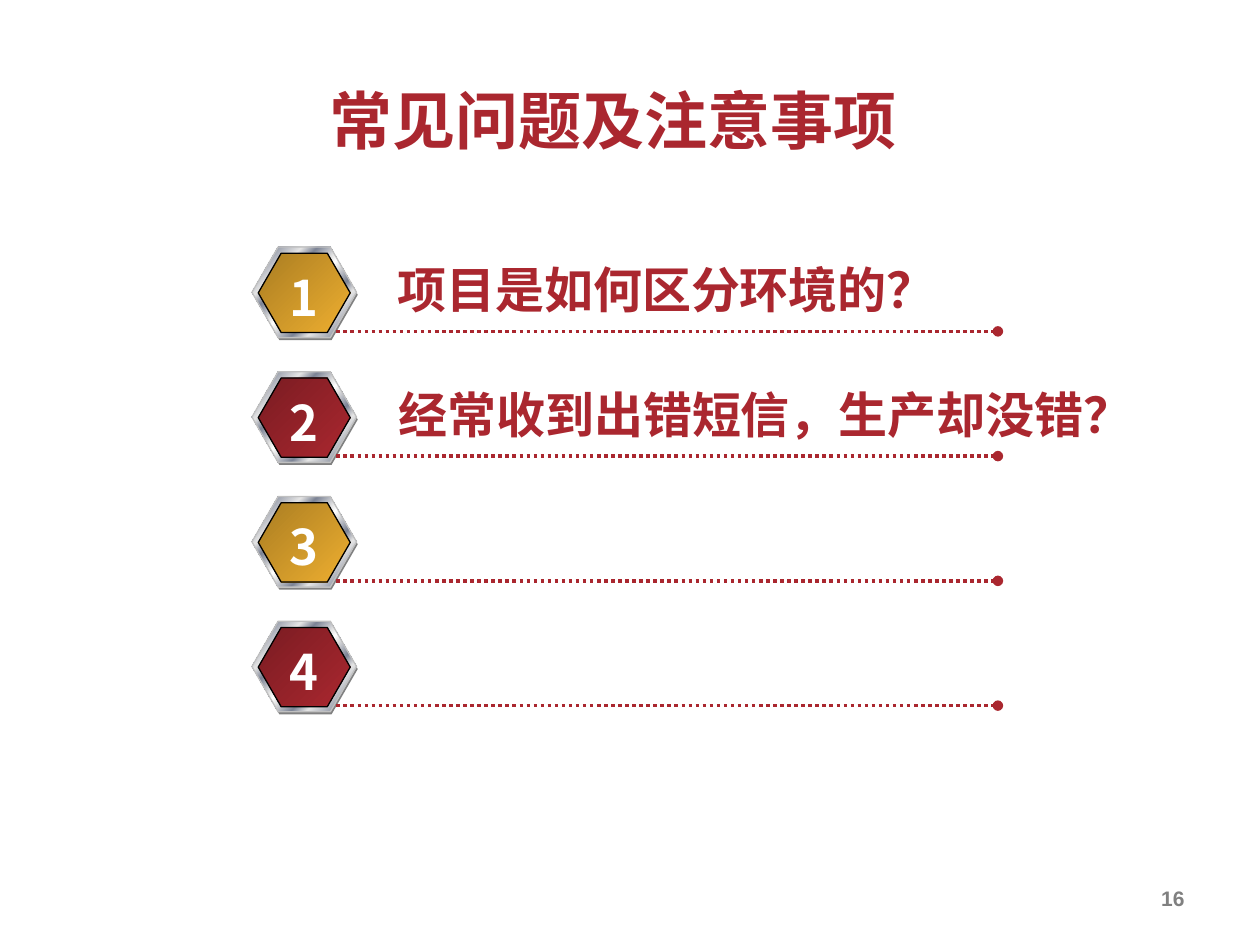
from lxml.etree import SubElement
from pptx import Presentation
from pptx.dml.color import RGBColor
from pptx.enum.dml import MSO_LINE
from pptx.enum.shapes import MSO_CONNECTOR, MSO_SHAPE
from pptx.enum.text import MSO_ANCHOR as Anchor, PP_ALIGN as Align
from pptx.oxml.ns import qn
from pptx.util import Inches, Pt

RED = RGBColor(0xAA, 0x27, 0x2F)
DARK_RED = RGBColor(0x7A, 0x1C, 0x22)
GOLD = RGBColor(0xEE, 0xAF, 0x30)
DARK_GOLD = RGBColor(0xAA, 0x7D, 0x22)
WHITE = RGBColor(0xFF, 0xFF, 0xFF)
BLACK = RGBColor(0x00, 0x00, 0x00)
GRAY = RGBColor(0x80, 0x80, 0x80)
SILVER = RGBColor(0xC0, 0xC0, 0xC0)
LIGHT = RGBColor(0xE6, 0xE6, 0xE6)
STEEL = RGBColor(0x7D, 0x84, 0x96)

CHROME_STOPS = [(0, LIGHT), (8, STEEL), (26, LIGHT), (34, STEEL), (46, LIGHT), (50, WHITE),
                (54, LIGHT), (66, STEEL), (74, LIGHT), (92, STEEL), (100, LIGHT)]
GOLD_STOPS = [(0, DARK_GOLD), (100, GOLD)]
RED_STOPS = [(0, DARK_RED), (100, RED)]

CJK_FONT = "Noto Sans CJK SC"
BADGE_LEFT, FIRST_TOP, ROW_PITCH = 2, 1.96, 0.99
ITEMS = [("项目是如何区分环境的？", 4.52), ("经常收到出错短信，生产却没错？", 6.09), None, None]


def inches(*lengths):
    return [Inches(length) for length in lengths]


def add_text(shapes, text, place, size, color, font=CJK_FONT, align=Align.CENTER,
             anchor=Anchor.MIDDLE, wrap=False):
    box = shapes.add_textbox(*inches(*place))
    frame = box.text_frame
    frame.word_wrap = wrap
    frame.vertical_anchor = anchor
    para = frame.paragraphs[0]
    para.text = text
    para.alignment = align
    para.font.size = Pt(size)
    para.font.bold = True
    para.font.name = font
    para.font.color.rgb = color
    SubElement(para.font._element, qn("a:ea"), typeface=font)


def set_gradient(fill, stops):
    fill.gradient()
    fill.gradient_angle = 315
    stop_list = fill._xPr.find(qn("a:gradFill")).find(qn("a:gsLst"))
    for old_stop in list(stop_list):
        stop_list.remove(old_stop)
    for percent, color in stops:
        stop = SubElement(stop_list, qn("a:gs"), pos=str(percent * 1000))
        SubElement(stop, qn("a:srgbClr"), val=str(color))


def add_hexagon(shapes, place, stops=None, outline=None):
    hexagon = shapes.add_shape(MSO_SHAPE.HEXAGON, *inches(*place))
    hexagon.shadow.inherit = False
    hexagon.adjustments[0] = 0.289
    if stops:
        set_gradient(hexagon.fill, stops)
    else:
        hexagon.fill.solid()
        hexagon.fill.fore_color.rgb = GRAY
    if outline is None:
        hexagon.line.fill.background()
    else:
        hexagon.line.color.rgb = outline
        hexagon.line.width = Pt(0.75)


def add_dotted_rule(shapes, left, right, y):
    rule = shapes.add_connector(MSO_CONNECTOR.STRAIGHT, *inches(left, y, right, y))
    rule.line.color.rgb = RED
    rule.line.width = Pt(2)
    rule.line.dash_style = MSO_LINE.ROUND_DOT
    SubElement(rule.line._get_or_add_ln(), qn("a:tailEnd"), type="oval")
    SubElement(rule._element.spPr, qn("a:effectLst"))


def add_item(page, index, label):
    shapes = page.shapes.add_group_shape().shapes
    left, top = BADGE_LEFT, FIRST_TOP + index * ROW_PITCH
    face = RED_STOPS if index % 2 else GOLD_STOPS
    add_hexagon(shapes, (left + 0.01, top + 0.02, 0.83, 0.72))
    add_hexagon(shapes, (left, top, 0.83, 0.72), CHROME_STOPS, SILVER)
    add_hexagon(shapes, (left + 0.05, top + 0.05, 0.73, 0.63), face, BLACK)
    add_dotted_rule(shapes, left + 0.67, left + 5.92, top + 0.67)
    if label:
        text, width = label
        add_text(shapes, text, (left + 1.03, top + 0.05, width, 0.57), 28, RED)
    add_text(shapes, str(index + 1), (left + 0.19, top + 0.11, 0.44, 0.57), 28, WHITE)


def main():
    deck = Presentation()
    deck.slide_width, deck.slide_height = inches(10, 7.5)
    page = deck.slides.add_slide(deck.slide_layouts[6])
    add_text(page.shapes, "16", (9, 6.98, 0.5, 0.52), 12, GRAY, "Arial",
             Align.RIGHT, Anchor.TOP, True)
    for index, label in enumerate(ITEMS):
        add_item(page, index, label)
    add_text(page.shapes, "常见问题及注意事项", (2.49, 0.59, 4.75, 0.71), 36, RED)
    deck.save("out.pptx")


if __name__ == "__main__":
    main()
